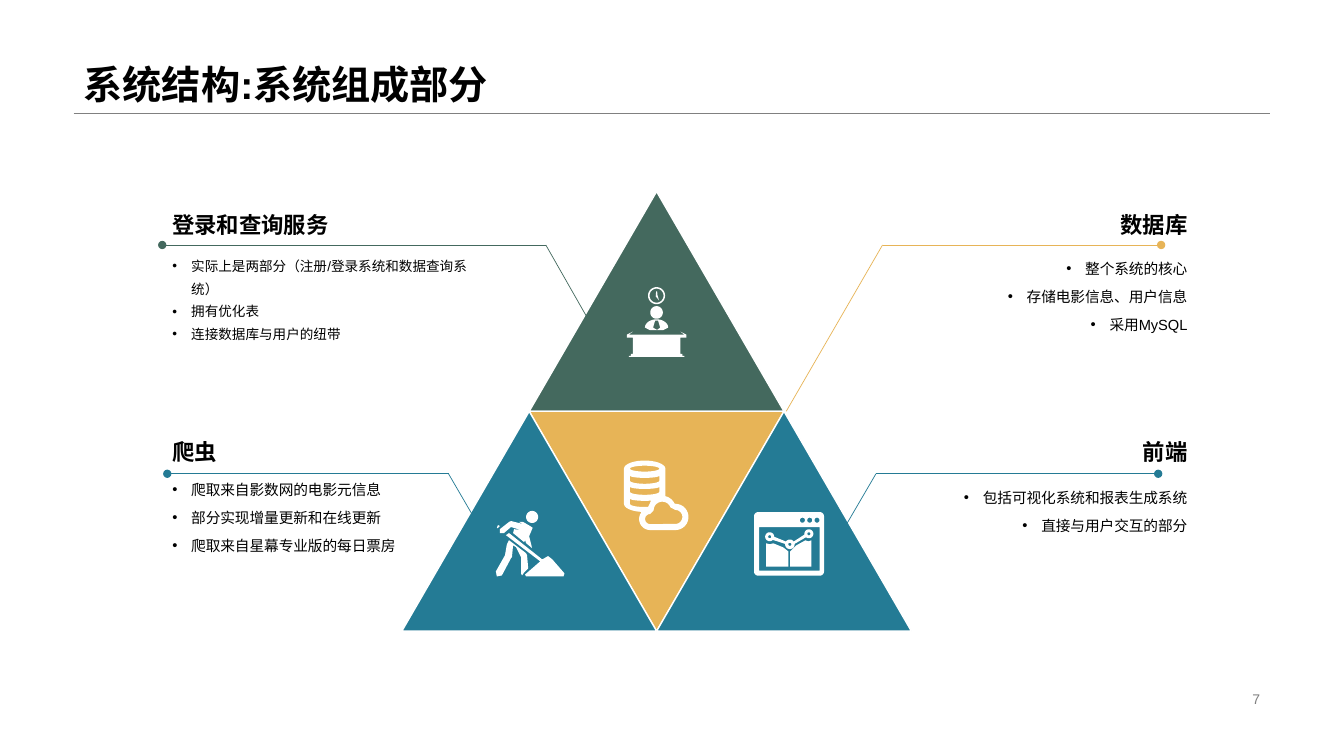
from math import cos, radians, sin

from lxml.etree import SubElement
from pptx import Presentation
from pptx.dml.color import RGBColor
from pptx.enum.shapes import MSO_CONNECTOR as LINE, MSO_SHAPE as SHAPE
from pptx.enum.text import MSO_ANCHOR as ANCHOR, MSO_AUTO_SIZE as FIT, PP_ALIGN as ALIGN
from pptx.oxml.ns import qn
from pptx.util import Pt

COLORS = {
    "service": "44695E", "database": "E7B457", "ends": "247B95",
    "text": "000000", "muted": "808080", "white": "FFFFFF",
}
SIDE, HEIGHT = 182, 157
APEX_LEFT, APEX_TOP = 378, 136.8
BASE_TOP = APEX_TOP + HEIGHT
LEFT, RIGHT, COLUMN = 115.9, 626.4, 229
INDENT = 13.5


def color(name):
    return RGBColor.from_string(COLORS[name])


def write(frame, lines, size=10.5, tint="text", bold=False, align=ALIGN.LEFT,
          anchor=ANCHOR.MIDDLE, spacing=1.0, bullet=None):
    frame.word_wrap = True
    frame.auto_size = FIT.NONE
    frame.vertical_anchor = anchor
    frame.margin_left = frame.margin_right = Pt(7.2)
    frame.margin_top = frame.margin_bottom = Pt(3.6)
    for number, line in enumerate(lines):
        paragraph = frame.add_paragraph() if number else frame.paragraphs[0]
        paragraph.alignment = align
        paragraph.line_spacing = spacing
        paragraph.space_before = paragraph.space_after = Pt(0)
        if bullet:
            properties = paragraph._p.get_or_add_pPr()
            properties.set("marL", str(Pt(INDENT)))
            properties.set("indent", str(-Pt(INDENT)))
            SubElement(properties, qn("a:buFont")).set("typeface", "Arial")
            SubElement(properties, qn("a:buChar")).set("char", bullet)
        run = paragraph.add_run()
        run.text = line
        run.font.name = "Arial"
        run.font.size = Pt(size)
        run.font.bold = bold
        run.font.color.rgb = color(tint)


def place(holder, left, top, width, height):
    holder.left, holder.top = Pt(left), Pt(top)
    holder.width, holder.height = Pt(width), Pt(height)


def add_label(slide, text, left, top, width, height, **style):
    label = slide.shapes.add_textbox(Pt(left), Pt(top), Pt(width), Pt(height))
    write(label.text_frame, [text], **style)


def add_line(slide, start, end, tint, weight, dot=False):
    line = slide.shapes.add_connector(LINE.STRAIGHT, *map(Pt, start + end))
    line.line.color.rgb = color(tint)
    line.line.width = Pt(weight)
    if dot:
        SubElement(line.line._get_or_add_ln(), qn("a:tailEnd")).set("type", "oval")
    SubElement(line._element.spPr, qn("a:effectLst"))


def add_triangle(slide, left, top, tint, turn=0):
    triangle = slide.shapes.add_shape(
        SHAPE.ISOSCELES_TRIANGLE, Pt(left), Pt(top), Pt(SIDE), Pt(HEIGHT))
    triangle.shadow.inherit = False
    triangle.rotation = turn
    triangle.fill.solid()
    triangle.fill.fore_color.rgb = color(tint)
    triangle.line.color.rgb = color("white")
    triangle.line.width = Pt(1)


def arc(cx, cy, rx, start, stop, ry=None):
    steps = max(4, abs(stop - start) // 12)
    angles = [radians(start + (stop - start) * i / steps) for i in range(steps + 1)]
    return [(cx + rx * cos(a), cy + (ry or rx) * sin(a)) for a in angles]


def disc(cx, cy, rx, ry=None):
    return arc(cx, cy, rx, 0, 360, ry)


def add_icon(slide, left, top, contours):
    first, *others = [[(x * 100, y * 100) for x, y in outline] for outline in contours]
    pen = slide.shapes.build_freeform(*first[0], scale=Pt(0.01))
    pen.add_line_segments(first[1:])
    for outline in others:
        pen.move_to(*outline[0])
        pen.add_line_segments(outline[1:])
    icon = pen.convert_to_shape(Pt(left), Pt(top))
    icon.shadow.inherit = False
    icon.fill.solid()
    icon.fill.fore_color.rgb = color("white")
    icon.line.fill.background()


def service_desk():
    desk = [(4.3, 31.7), (1.4, 33.8), (41, 33.8), (38.2, 31.7), (42.5, 33.8), (42.5, 36),
            (38.2, 36), (38.2, 47.5), (39.6, 47.5), (39.6, 49), (41, 49), (41, 49.7),
            (1.4, 49.7), (1.4, 49), (2.9, 49), (2.9, 47.5), (4.3, 47.5), (4.3, 36),
            (0, 36), (0, 33.8)]
    body = arc(21.2, 28.8, 8.3, 180, 360, 5.9) + [(26, 30.6), (16.4, 30.6)]
    tie = [(20.2, 23.8), (22.3, 23.8), (23.8, 28.8), (21.6, 30.5), (18.7, 28.8)]
    hands = [(20.9, 2.9), (21.6, 2.9), (21.9, 5.8), (23, 9.4), (20.6, 6.5)]
    return [desk, body, tie, disc(21.2, 18, 4.5),
            disc(21.2, 6, 6.1), disc(21.2, 6, 5), hands]


def cloud_database():
    outline = arc(14.8, 5.8, 14.8, 180, 360, 5.8)
    outline += arc(27.4, 34.9, 9.7, -77, -25) + arc(36.7, 40.3, 9.4, -90, 90)
    outline += arc(18.7, 41.8, 7.9, 90, 218) + arc(14.8, 31, 14.8, 100, 180, 5.8)
    cloud = (arc(36.7, 40.3, 5, -90, 90) + arc(18.7, 41.8, 3.6, 90, 270)
             + arc(27.4, 35.6, 6.2, 180, 340))
    bands = [arc(14.8, y, 10.5, 180, 0, 1.6) + arc(14.8, y + 3.6, 10.5, 0, 180, 2.2)
             for y in (10.8, 18.7)]
    low_band = (arc(14.8, 27.2, 10.5, 180, 64, 1.6) + [(17.3, 33.1)]
                + arc(14.8, 31, 10.5, 90, 180, 2.2))
    return [outline, disc(14.8, 5.8, 10.5, 2.1), *bands, low_band, cloud]


def digger():
    spade = [(10.1, 15.8), (33.8, 34.6), (35.3, 33.8), (38, 32.2), (41, 34.6), (49.7, 44.6),
             (49, 46.8), (22.3, 46.8), (21.6, 45.4), (32.4, 36), (7.9, 17.3)]
    legs = [(10.1, 20.9), (22.3, 30.2), (23, 31.7), (23.8, 41), (20.9, 44), (19.4, 46.1),
            (18.7, 44.6), (18.7, 33.1), (15.1, 25.9), (13, 24.5), (12.2, 33.1), (11.5, 33.8),
            (5, 46.1), (1.4, 46.8), (0.7, 43.2), (7.2, 31.7), (8.6, 23.8)]
    torso = [(11.5, 7.2), (20.2, 9.4), (17.3, 7.9), (20.2, 7.9), (25.2, 10.8), (27, 12),
             (24.5, 18), (26.6, 26.6), (22.3, 23), (21.6, 20.9), (20.9, 22.3), (13, 15.8),
             (13.7, 13), (18.7, 13.7), (11.5, 11.5), (6.5, 15.8), (3.6, 15.8), (3.6, 13),
             (10.1, 7.9)]
    hand = [(2.2, 10.1), (3.6, 10.8), (2.2, 12.2), (1.4, 12.2)]
    return [spade, legs, torso, hand, disc(26.6, 4.3, 4.3)]


def chart_window():
    window = (arc(3, 3, 3, 180, 270) + arc(47, 3, 3, 270, 360)
              + arc(47, 42.4, 3, 0, 90) + arc(3, 42.4, 3, 90, 180))
    pane = [(3.6, 10.8), (46.8, 10.8), (46.8, 41.8), (3.6, 41.8)]
    buttons = [disc(x, 5.8, 1.8) for x in (34.6, 39.8, 45)]
    left_area = [(13.7, 22.3), (20.9, 25.2), (24.5, 28.1), (24.5, 38.9), (8.6, 38.9),
                 (8.6, 22.3), (11.5, 23)]
    right_area = [(36.7, 20.2), (38.9, 20.9), (41, 20.2), (41, 38.9), (25.9, 38.9),
                  (25.9, 28.1), (30.2, 23.8)]
    trend = (arc(39.2, 15.5, 3.2, 170, 490) + arc(25.6, 23, 3.4, -5, 185)
             + arc(11.2, 17.6, 3.2, 45, 360) + arc(25.6, 23, 3.4, 215, 325))
    nodes = [disc(x, y, 1.1) for x, y in ((39.2, 15.5), (25.6, 23), (11.2, 17.6))]
    return [window, pane, *buttons, left_area, right_area, trend, *nodes]


SECTIONS = [
    ("数据库", RIGHT, 146.2, 174.2, ["整个系统的核心", "存储电影信息、用户信息", "采用MySQL"],
     {"align": ALIGN.RIGHT, "anchor": ANCHOR.TOP},
     "database", [(561.6, 293.8), (630.4, 175), (829.4, 175)]),
    ("登录和查询服务", LEFT, 146.2, 174.2,
     ["实际上是两部分（注册/登录系统和数据查询系统）", "拥有优化表", "连接数据库与用户的纽带"],
     {"size": 9.7, "spacing": 1.4},
     "service", [(419, 226.1), (389.9, 175), (115.9, 175)]),
    ("前端", RIGHT, 308.9, 337.7, ["包括可视化系统和报表生成系统", "直接与用户交互的部分"],
     {"align": ALIGN.RIGHT, "anchor": ANCHOR.TOP},
     "ends", [(602.6, 378), (625.7, 338.4), (827.3, 338.4)]),
    ("爬虫", LEFT, 308.9, 332,
     ["爬取来自影数网的电影元信息", "部分实现增量更新和在线更新", "爬取来自星幕专业版的每日票房"],
     {"anchor": ANCHOR.TOP},
     "ends", [(343.4, 378), (320.4, 338.4), (119.5, 338.4)]),
]


def main():
    deck = Presentation()
    deck.slide_width, deck.slide_height = Pt(960), Pt(540)
    slide = deck.slides.add_slide(deck.slide_layouts[4])
    title, *bodies = slide.placeholders

    add_line(slide, (52.6, 80.6), (907.2, 80.6), "muted", 0.25)
    place(title, 52.6, 0, 854.6, 80.6)
    write(title.text_frame, ["系统结构:系统组成部分"], size=28, bold=True,
          anchor=ANCHOR.BOTTOM, spacing=0.9)
    add_label(slide, "7", 678.2, 491, 229, 16.6, size=10, tint="muted", align=ALIGN.RIGHT)

    add_triangle(slide, APEX_LEFT, APEX_TOP, "service")
    add_triangle(slide, APEX_LEFT, BASE_TOP, "database", turn=180)
    for shift in (-SIDE / 2, SIDE / 2):
        add_triangle(slide, APEX_LEFT + shift, BASE_TOP, "ends")

    for body, section in zip(bodies, SECTIONS):
        heading, left, heading_top, list_top, points, style, tint, route = section
        slope, bend, end = route
        add_line(slide, slope, bend, tint, 0.5)
        add_line(slide, bend, end, tint, 0.5, dot=True)
        add_label(slide, heading, left, heading_top, COLUMN, 28, size=16, bold=True,
                  align=style.get("align", ALIGN.LEFT))
        place(body, left, list_top, COLUMN, 75.6)
        write(body.text_frame, points, bullet="•", **{"spacing": 1.6, **style})

    add_icon(slide, 538.6, 365.8, chart_window())
    add_icon(slide, 445.7, 329, cloud_database())
    add_icon(slide, 447.8, 205.2, service_desk())
    add_icon(slide, 353.5, 365, digger())
    deck.save("out.pptx")


if __name__ == "__main__":
    main()
